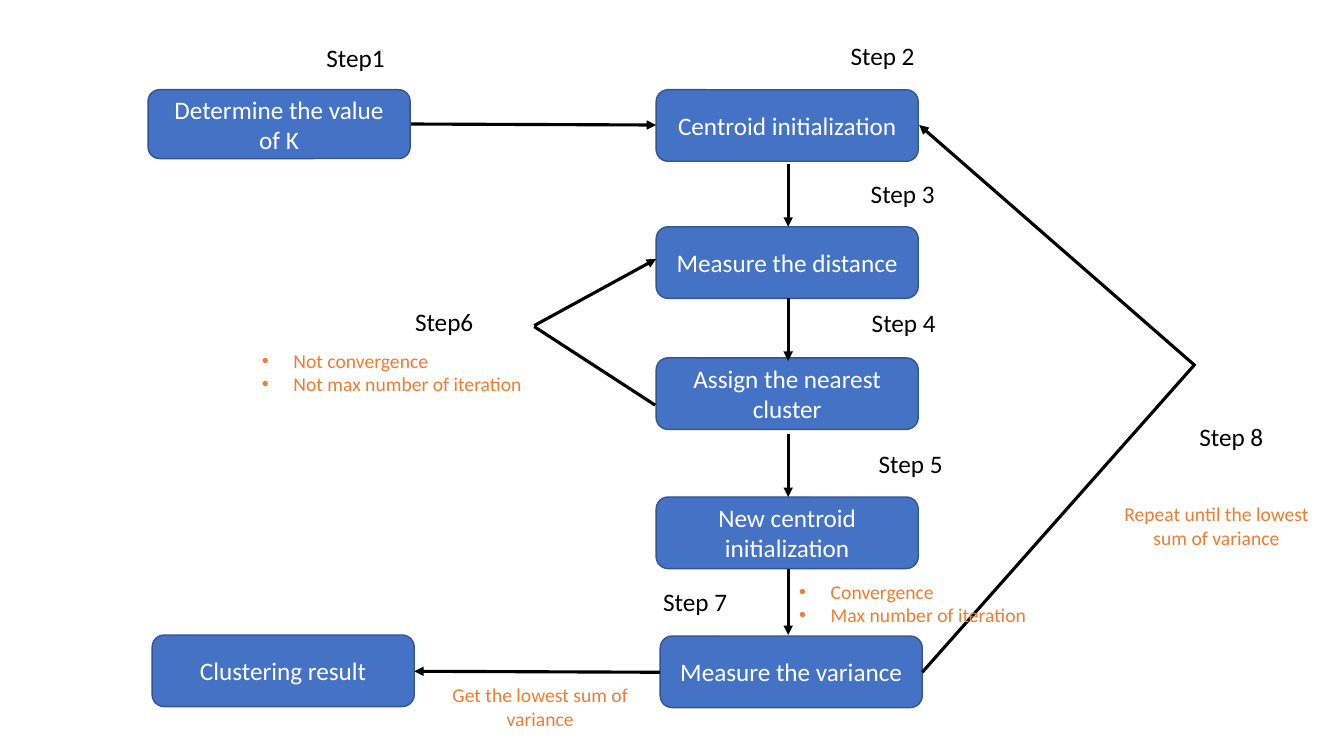
"""Build a flowchart slide of the K-means clustering steps."""
from lxml.etree import SubElement
from pptx import Presentation
from pptx.dml.color import RGBColor
from pptx.enum.shapes import MSO_CONNECTOR as Connector, MSO_SHAPE as Preset
from pptx.enum.text import MSO_ANCHOR as Anchor, MSO_AUTO_SIZE as AutoSize, PP_ALIGN as Align
from pptx.oxml.ns import qn
from pptx.util import Pt

COLORS = {"box": "4472C4", "border": "325491", "box_text": "FFFFFF",
          "ink": "000000", "note": "ED7D31"}


class Flowchart:
    font = "Calibri"
    step_size = 18
    note_size = 14
    box_width = 187.2
    box_height = 51.1
    bullet_indent = 22.5

    def __init__(self, slide):
        self.shapes = slide.shapes

    def color(self, name):
        return RGBColor.from_string(COLORS[name])

    def add_words(self, paragraph, words, size, color, align=Align.LEFT):
        paragraph.alignment = align
        run = paragraph.add_run()
        run.text = words
        run.font.name = self.font
        run.font.size = Pt(size)
        run.font.color.rgb = self.color(color)

    def box(self, words, left, top, height=box_height):
        box = self.shapes.add_shape(Preset.ROUNDED_RECTANGLE, Pt(left), Pt(top),
                                    Pt(self.box_width), Pt(height))
        box.shadow.inherit = False
        box.fill.solid()
        box.fill.fore_color.rgb = self.color("box")
        box.line.color.rgb = self.color("border")
        box.line.width = Pt(1)
        frame = box.text_frame
        frame.word_wrap = True
        frame.vertical_anchor = Anchor.MIDDLE
        self.add_words(frame.paragraphs[0], words, self.step_size, "box_text", Align.CENTER)

    def line(self, start, end, arrow=True):
        line = self.shapes.add_connector(Connector.STRAIGHT, *map(Pt, start + end))
        line.line.color.rgb = self.color("ink")
        line.line.width = Pt(2.25)
        properties = line._element.spPr
        if arrow:
            SubElement(properties.find(qn("a:ln")), qn("a:tailEnd"), type="triangle")
        SubElement(properties, qn("a:effectLst"))

    def text_frame(self, left, top, width, height):
        frame = self.shapes.add_textbox(Pt(left), Pt(top), Pt(width), Pt(height)).text_frame
        frame.word_wrap = True
        frame.auto_size = AutoSize.SHAPE_TO_FIT_TEXT
        return frame

    def step(self, words, left, top):
        frame = self.text_frame(left, top, 83.5, 29)
        self.add_words(frame.paragraphs[0], words, self.step_size, "ink")

    def note(self, words, left, top):
        frame = self.text_frame(left, top, 172.8, 41)
        self.add_words(frame.paragraphs[0], words, self.note_size, "note", Align.CENTER)

    def conditions(self, items, left, top, width):
        frame = self.text_frame(left, top, width, 41)
        for index, item in enumerate(items):
            paragraph = frame.add_paragraph() if index else frame.paragraphs[0]
            self.add_words(paragraph, item, self.note_size, "note")
            properties = paragraph._p.get_or_add_pPr()
            properties.set("marL", str(Pt(self.bullet_indent)))
            properties.set("indent", str(-Pt(self.bullet_indent)))
            SubElement(properties, qn("a:buFont"), typeface="Arial")
            SubElement(properties, qn("a:buChar"), char="•")


def main():
    deck = Presentation()
    deck.slide_width, deck.slide_height = Pt(960), Pt(540)
    chart = Flowchart(deck.slides.add_slide(deck.slide_layouts[6]))

    chart.box("Determine the value of K", 105.8, 64.1, 49.2)
    for words, top in (("Centroid initialization", 64.1),
                       ("Measure the distance", 162),
                       ("Assign the nearest cluster", 255.6),
                       ("New centroid initialization", 355)):
        chart.box(words, 468.7, top)
    chart.box("Measure the variance", 471.6, 454.3)
    chart.box("Clustering result", 108.7, 453.6)

    chart.line((293.6, 88.6), (468.7, 89.3))
    for top, bottom in ((117.4, 162), (213.1, 257.8), (310.3, 355), (406.1, 453.6)):
        chart.line((563, top), (563, bottom))
    chart.line((471.6, 480.2), (295.9, 479.5))

    chart.line((468, 289.4), (381.6, 233.3), arrow=False)
    chart.line((381.6, 232.6), (468.7, 185))
    chart.line((658.8, 480.2), (852.5, 261.4), arrow=False)
    chart.line((853.9, 261.4), (656.6, 89.3))

    for words, left, top in (("Step1", 226.1, 26.6), ("Step 2", 600.5, 25.2),
                             ("Step 3", 614.9, 123.8), ("Step 4", 615.6, 216),
                             ("Step 5", 620.6, 316.8), ("Step6", 289.4, 215.3),
                             ("Step 7", 466.6, 415.4), ("Step 8", 849.6, 297.4)):
        chart.step(words, left, top)

    chart.note("Repeat until the lowest sum of variance", 782.6, 355)
    chart.conditions(("Convergence", "Max number of iteration"), 563.8, 410.4, 218.9)
    chart.conditions(("Not convergence", "Not max number of iteration"), 180, 245.5, 249.1)
    chart.note("Get the lowest sum of variance", 299.5, 484.6)

    deck.save("out.pptx")


if __name__ == "__main__":
    main()
